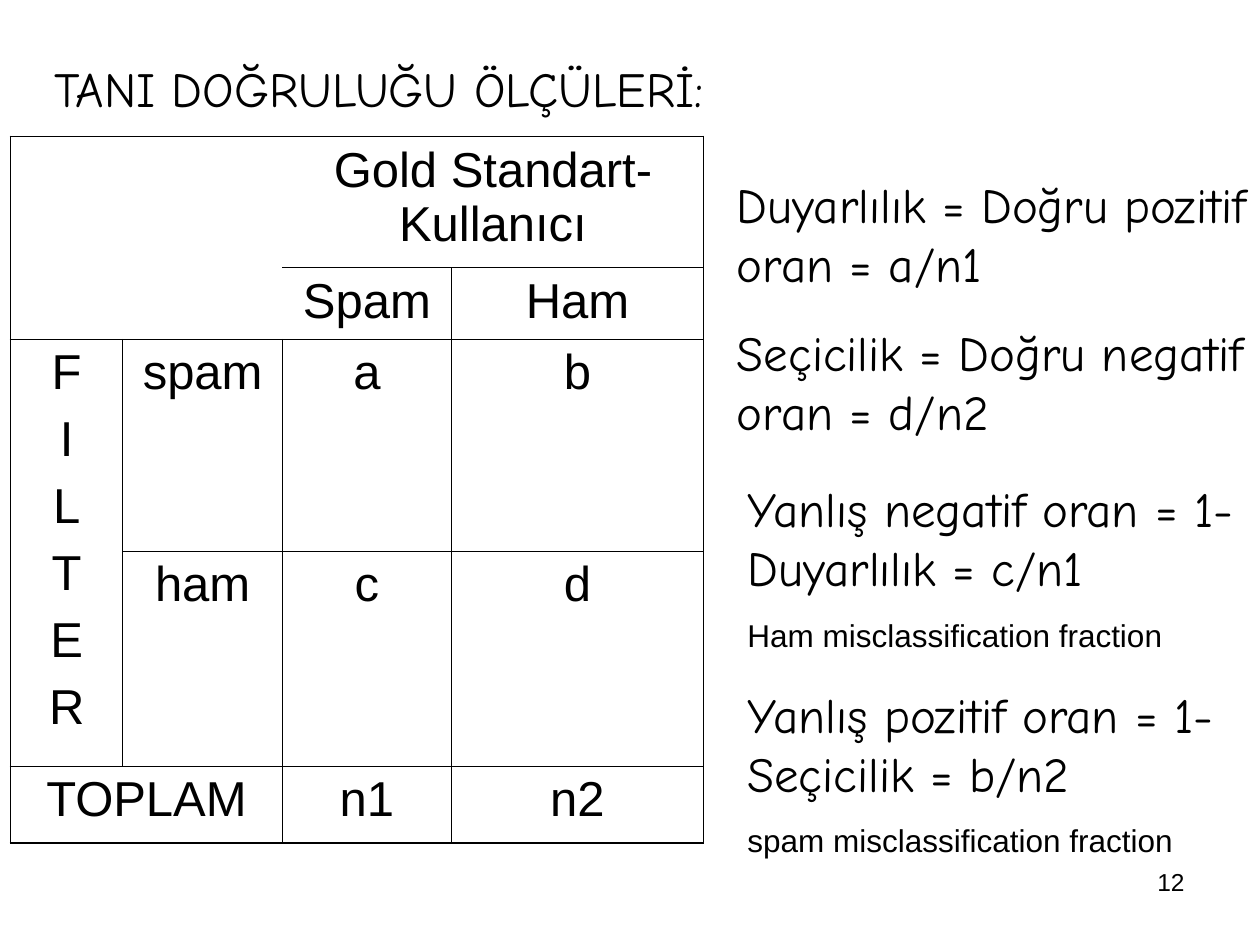
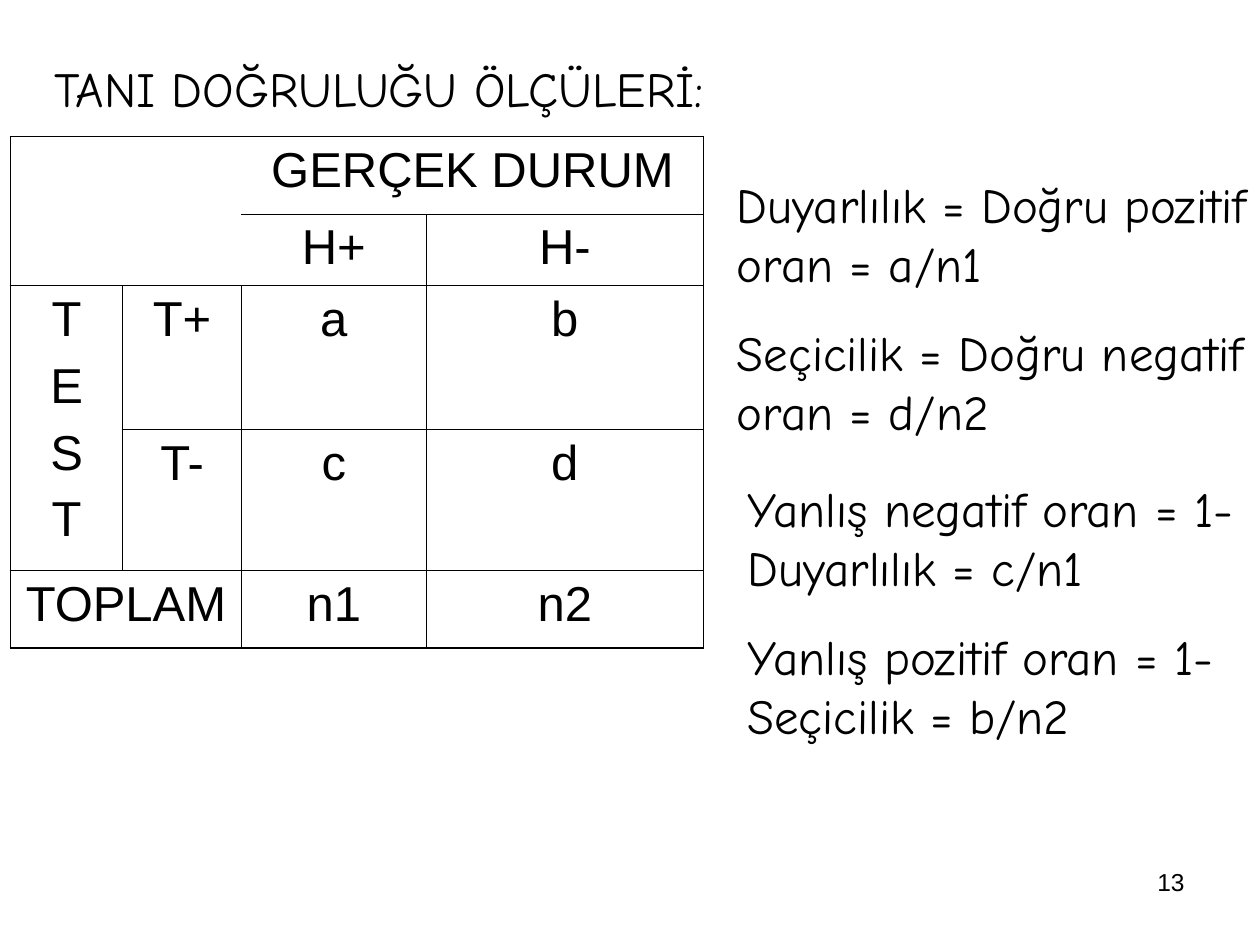
import lxml.etree
import pptx
import pptx.dml.color
import pptx.enum.text
import pptx.oxml.ns
import pptx.util

COLORS = {"ink": "000000"}
HAND_FONT, PLAIN_FONT = "Comic Neue", "Arial"
BODY_SIZE, NOTE_SIZE, NUMBER_SIZE = 28, 18, 14
OUTER_LINE, INNER_LINE = 1.08, 0.45
ALIGN = pptx.enum.text.PP_ALIGN

# The slide is a grid of 120 columns and 90 rows.
SLIDE_WIDTH = pptx.util.Inches(10)
SLIDE_HEIGHT = pptx.util.Inches(7.5)
GRID_UNIT = SLIDE_WIDTH // 120

TITLE = "TANI DOĞRULUĞU ÖLÇÜLERİ:"
TRUE_RATES = ["Duyarlılık = Doğru pozitif oran = a/n1",
              "Seçicilik = Doğru negatif oran = d/n2"]
FALSE_RATES = ["Yanlış negatif oran = 1-Duyarlılık = c/n1",
               "Yanlış pozitif oran = 1-Seçicilik = b/n2"]
MISCLASSIFICATIONS = ["Ham misclassification fraction",
                      "spam misclassification fraction"]

# Merged areas of a diagnosis table: first and last row, first and last column.
CORNER, HEADER, TEST_NAME, TOTAL = MERGES = [
    (0, 1, 0, 1), (0, 0, 2, 3), (2, 3, 0, 0), (4, 4, 0, 1)]


def grid(count):
    return pptx.util.Emu(round(count * GRID_UNIT))


def format_paragraph(paragraph, font_name, size, space_share, align=ALIGN.LEFT):
    """Space before the paragraph is a share of the font size."""
    paragraph.alignment = align
    paragraph.space_before = pptx.util.Pt(size * space_share)
    for run in paragraph.runs:
        run.font.name = font_name
        run.font.size = pptx.util.Pt(size)
        run.font.color.rgb = pptx.dml.color.RGBColor.from_string(COLORS["ink"])


def add_text(slide, box, text):
    shape = slide.shapes.add_textbox(*map(grid, box))
    shape.text_frame.word_wrap = True
    shape.text_frame.text = text
    return shape.text_frame


def add_formulas(slide, box, lines):
    """Write formulas in the hand font and misclassification notes in the plain one."""
    text_frame = add_text(slide, box, "\n".join(lines))
    text_frame.auto_size = pptx.enum.text.MSO_AUTO_SIZE.SHAPE_TO_FIT_TEXT
    for paragraph in text_frame.paragraphs:
        if paragraph.text in MISCLASSIFICATIONS:
            format_paragraph(paragraph, PLAIN_FONT, NOTE_SIZE, 0.62)
        else:
            format_paragraph(paragraph, HAND_FONT, BODY_SIZE, 0.625)


def add_slide_number(slide, number):
    text_frame = add_text(slide, (86, 82, 28, 6.25), str(number))
    format_paragraph(text_frame.paragraphs[0], PLAIN_FONT, NUMBER_SIZE, 0, ALIGN.RIGHT)


def area_of(row, column):
    for area in MERGES:
        top, bottom, left, right = area
        if top <= row <= bottom and left <= column <= right:
            return area
    return row, row, column, column


def border_widths(row, column, last_row, last_column):
    """Width of each side of a cell; None where no line is drawn."""
    top, bottom, left, right = area_of(row, column)
    origin = (row, column) == (top, left)
    beside_corner = row <= CORNER[1]
    sides = {
        "L": (column == left, left == 0, beside_corner and left == 2),
        "R": (origin or column == right, right == last_column,
              beside_corner and right == 1),
        "T": (row == top, top == 0, False),
        "B": (origin or row == bottom, bottom == last_row, False),
    }
    return {side: None if hidden or not on_edge
            else OUTER_LINE if outer else INNER_LINE
            for side, (on_edge, outer, hidden) in sides.items()}


def set_borders(cell, widths):
    qn = pptx.oxml.ns.qn
    properties = cell._tc.get_or_add_tcPr()
    for side, width in widths.items():
        line = lxml.etree.SubElement(properties, qn(f"a:ln{side}"))
        if width is None:
            line.set("w", "0")
            lxml.etree.SubElement(line, qn("a:noFill"))
        else:
            line.set("w", str(pptx.util.Pt(width)))
            fill = lxml.etree.SubElement(line, qn("a:solidFill"))
            lxml.etree.SubElement(fill, qn("a:srgbClr")).set("val", COLORS["ink"])


def add_diagnosis_table(slide, column_widths, row_heights, truth, truth_values,
                        test, test_values):
    rows = [
        ["", "", truth, ""],
        ["", "", *truth_values],
        ["\n".join(test), test_values[0], "a", "b"],
        ["", test_values[1], "c", "d"],
        ["TOPLAM", "", "n1", "n2"],
    ]
    box = (1, 13, sum(column_widths), sum(row_heights))
    table = slide.shapes.add_table(len(rows), len(rows[0]), *map(grid, box)).table
    table.first_row = table.horz_banding = False
    for column, width in zip(table.columns, column_widths):
        column.width = grid(width)
    for row, height in zip(table.rows, row_heights):
        row.height = grid(height)
    for top, bottom, left, right in MERGES:
        table.cell(top, left).merge(table.cell(bottom, right))
    for row, texts in enumerate(rows):
        for column, text in enumerate(texts):
            cell = table.cell(row, column)
            set_borders(cell, border_widths(row, column, len(rows) - 1, len(texts) - 1))
            cell.fill.background()
            if text:
                cell.text_frame.text = text
                for paragraph in cell.text_frame.paragraphs:
                    format_paragraph(paragraph, PLAIN_FONT, BODY_SIZE, 0.25, ALIGN.CENTER)


def add_accuracy_slide(presentation, number, false_rates, false_rates_height, **table):
    slide = presentation.slides.add_slide(presentation.slide_layouts[6])
    add_formulas(slide, (4, 5, 111, 6.8), [TITLE])
    add_diagnosis_table(slide, **table)
    add_formulas(slide, (69, 16, 51, 26.5), TRUE_RATES)
    add_formulas(slide, (70, 45, 50, false_rates_height), false_rates)
    add_slide_number(slide, number)


def main():
    presentation = pptx.Presentation()
    presentation.slide_width = SLIDE_WIDTH
    presentation.slide_height = SLIDE_HEIGHT

    rates_with_notes = [line for pair in zip(FALSE_RATES, MISCLASSIFICATIONS)
                        for line in pair]
    add_accuracy_slide(
        presentation, 12, rates_with_notes, 43,
        column_widths=[10.7, 15.2, 16.1, 24],
        row_heights=[12.5, 6.8, 20.2, 20.3, 7.3],
        truth="Gold Standart-Kullanıcı", truth_values=["Spam", "Ham"],
        test="FILTER", test_values=["spam", "ham"])
    add_accuracy_slide(
        presentation, 13, FALSE_RATES, 26.5,
        column_widths=[10.7, 11.3, 17.6, 26.4],
        row_heights=[7.4, 6.8, 13.7, 13.4, 7.4],
        truth="GERÇEK DURUM", truth_values=["H+", "H-"],
        test="TEST", test_values=["T+", "T-"])

    presentation.save("out.pptx")


if __name__ == "__main__":
    main()
